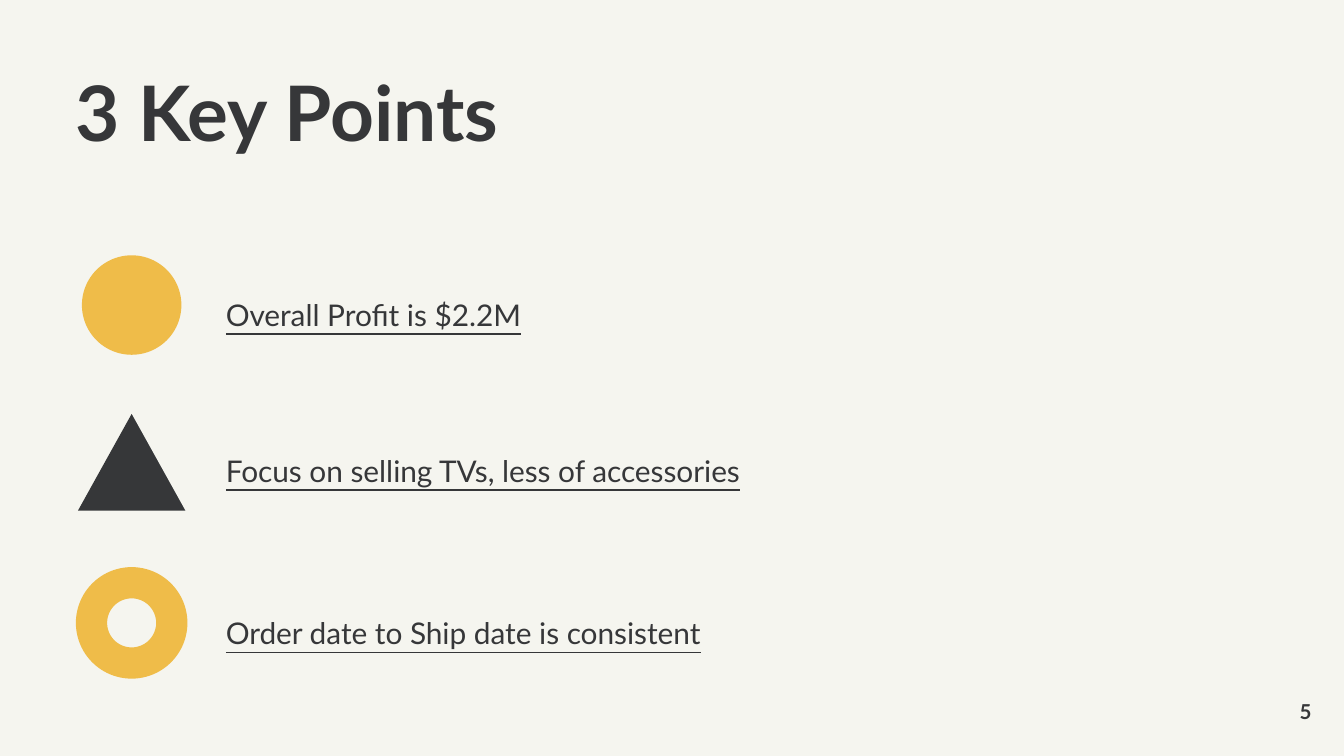
"""Build the "3 Key Points" slide with an icon beside each point."""
from pptx import Presentation
from pptx.dml.color import RGBColor
from pptx.enum.shapes import MSO_SHAPE
from pptx.enum.text import MSO_ANCHOR, MSO_AUTO_SIZE, PP_ALIGN
from pptx.util import Inches, Pt

CIRCLE = MSO_SHAPE.OVAL
TRIANGLE = MSO_SHAPE.ISOSCELES_TRIANGLE
RING = MSO_SHAPE.DONUT
TOP, MIDDLE = MSO_ANCHOR.TOP, MSO_ANCHOR.MIDDLE
LEFT, RIGHT = PP_ALIGN.LEFT, PP_ALIGN.RIGHT
NO_FIT, GROW = MSO_AUTO_SIZE.NONE, MSO_AUTO_SIZE.SHAPE_TO_FIT_TEXT

FONT = "Lato"
COLOURS = {"paper": "F5F5EF", "ink": "363739", "gold": "EFBC49"}
ICON_CENTRE = 0.98
RING_THICKNESS = 0.28

POINTS = [
    {"text": "Overall Profit is $2.2M", "top": 2.1,
     "icon": (CIRCLE, 1.9, 0.74, 0.74, "gold")},
    {"text": "Focus on selling TVs, less of accessories", "top": 3.26,
     "icon": (TRIANGLE, 3.08, 0.8, 0.72, "ink")},
    {"text": "Order date to Ship date is consistent", "top": 4.47,
     "icon": (RING, 4.22, 0.83, 0.83, "gold")},
]


def colour(name):
    return RGBColor.from_string(COLOURS[name])


def place(box, left, top, width, height):
    box.left, box.top = Inches(left), Inches(top)
    box.width, box.height = Inches(width), Inches(height)


def write(box, text, size, bold=False, underline=False, align=LEFT,
          anchor=TOP, spacing=1.0, fit=NO_FIT):
    frame = box.text_frame
    frame.word_wrap = True
    frame.auto_size = fit
    frame.vertical_anchor = anchor
    frame.margin_left = frame.margin_right = Inches(0)
    frame.margin_top = frame.margin_bottom = Inches(0)
    para = frame.paragraphs[0]
    para.alignment = align
    para.line_spacing = spacing
    span = para.add_run()
    span.text = text
    span.font.name = FONT
    span.font.size = Pt(size)
    span.font.bold = bold
    span.font.underline = underline
    span.font.color.rgb = colour("ink")


def add_text(page, text, left, top, width, height, **style):
    box = page.shapes.add_textbox(Inches(left), Inches(top),
                                  Inches(width), Inches(height))
    write(box, text, **style)


def add_icon(page, kind, top, width, height, fill):
    icon = page.shapes.add_shape(kind, Inches(ICON_CENTRE - width / 2),
                                 Inches(top), Inches(width), Inches(height))
    icon.shadow.inherit = False
    icon.fill.solid()
    icon.fill.fore_color.rgb = colour(fill)
    icon.line.fill.background()
    if kind == RING:
        icon.adjustments[0] = RING_THICKNESS


def main():
    deck = Presentation()
    deck.slide_width = Inches(10)
    deck.slide_height = Inches(10 * 9 / 16)
    page = deck.slides.add_slide(deck.slide_layouts[5])
    page.background.fill.solid()
    page.background.fill.fore_color.rgb = colour("paper")

    title = page.shapes.title
    place(title, 0.56, 0.56, 7.09, 0.79)
    write(title, "3 Key Points", size=41, bold=True, spacing=0.9)

    for point in POINTS:
        add_icon(page, *point["icon"])
        add_text(page, point["text"], 1.68, point["top"], 4.29, 0.38,
                 size=16, underline=True, spacing=1.4, fit=GROW)

    add_text(page, "5", 9.16, 5.19, 0.6, 0.2,
             size=11, bold=True, align=RIGHT, anchor=MIDDLE)
    deck.save("out.pptx")


if __name__ == "__main__":
    main()
